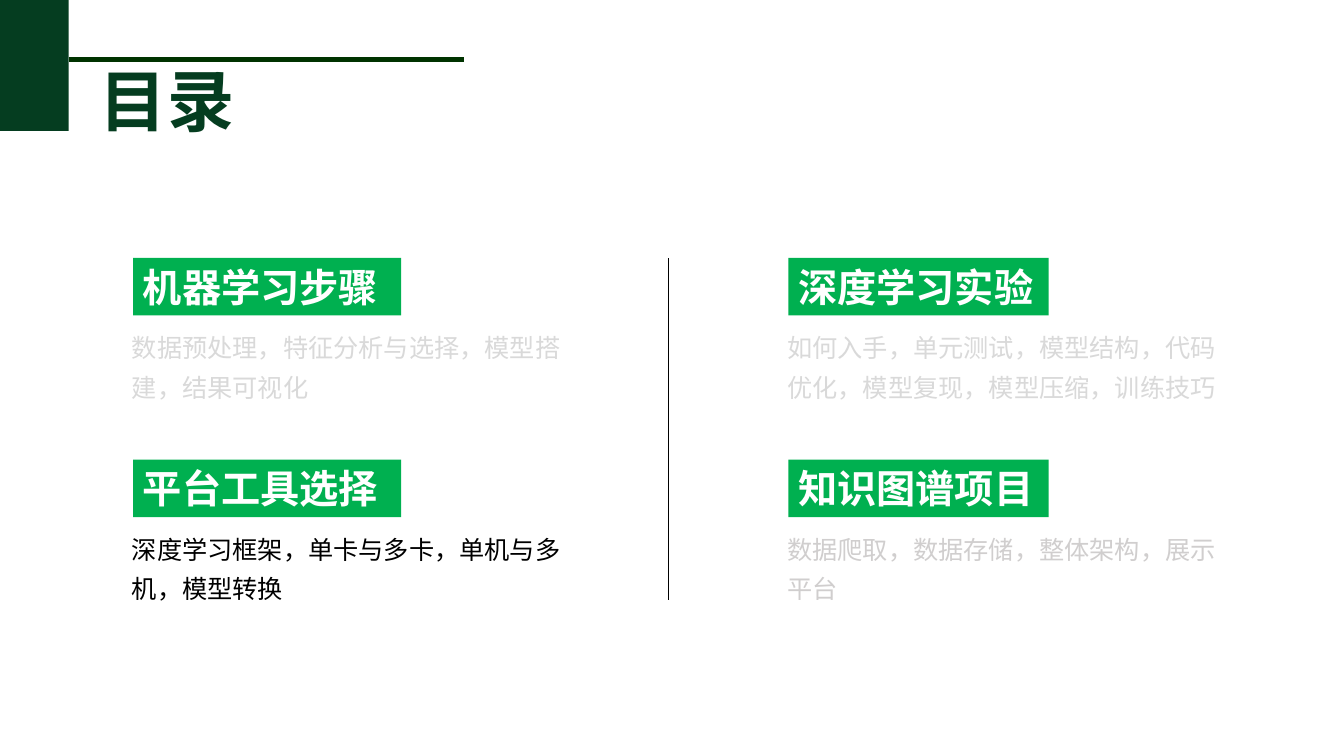
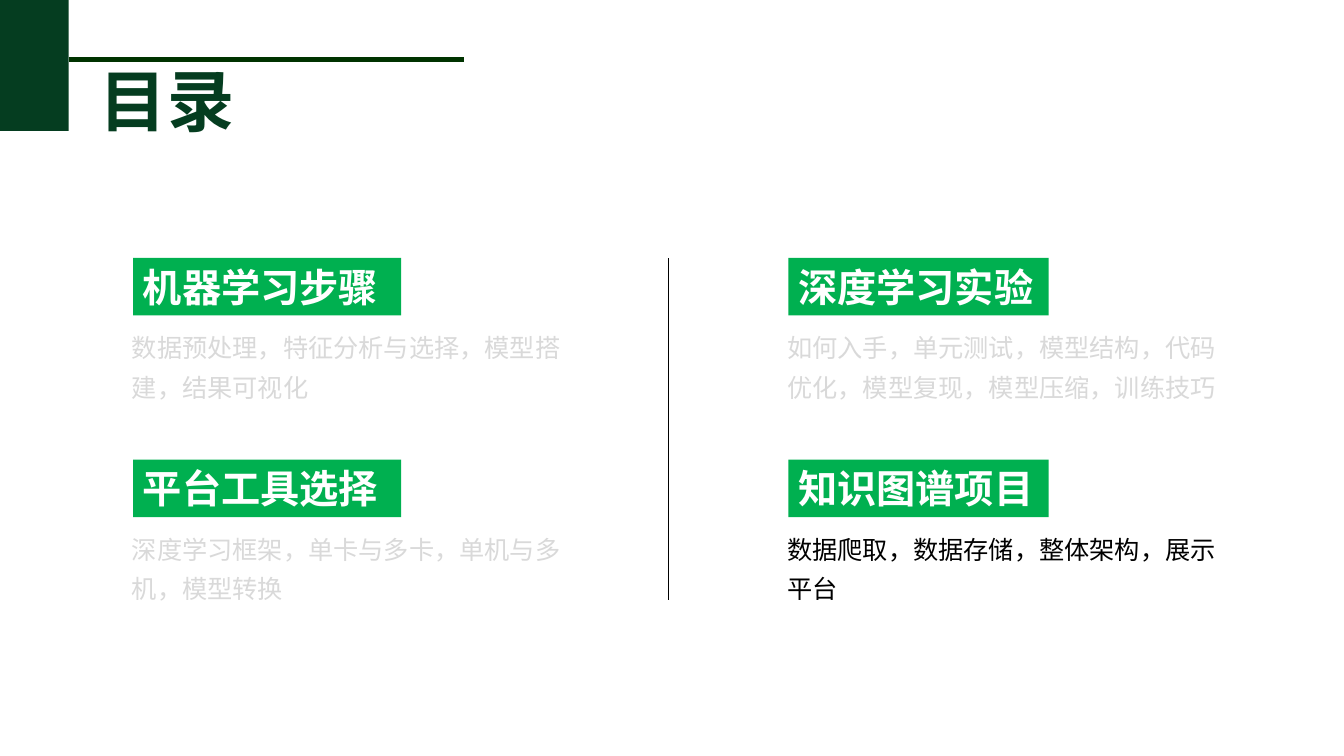
from lxml.etree import SubElement
from pptx import Presentation
from pptx.dml.color import RGBColor
from pptx.enum.lang import MSO_LANGUAGE_ID
from pptx.enum.shapes import MSO_CONNECTOR, MSO_SHAPE
from pptx.enum.text import MSO_ANCHOR, MSO_AUTO_SIZE, PP_ALIGN
from pptx.oxml.ns import qn
from pptx.util import Inches, Pt

DARK, RULE, GREEN = "053D20", "003300", "00B050"
WHITE, BLACK, PALE, GREY = "FFFFFF", "000000", "D9D9D9", "D0CECE"
HEAD, BODY = "Calibri", "Noto Sans CJK SC"
LEFT, STEP_X = 1.32, 6.5
TOP, STEP_Y = 2.56, 2
WIDTHS = (2.66, 2.58)
TOPICS = (
    ("机器学习步骤", "数据预处理，特征分析与选择，模型搭建，结果可视化"),
    ("平台工具选择", "深度学习框架，单卡与多卡，单机与多机，模型转换"),
    ("深度学习实验", "如何入手，单元测试，模型结构，代码优化，模型复现，模型压缩，训练技巧"),
    ("知识图谱项目", "数据爬取，数据存储，整体架构，展示平台"),
)
AGENDAS = (
    (PALE, BLACK, PALE, GREY),
    (PALE, PALE, PALE, BLACK),
)


def color(code):
    """Turn a hex string into a colour."""
    return RGBColor.from_string(code)


def write(shape, text, size, code, name=HEAD, bold=False, wrap=True):
    """Put one left-aligned paragraph into a shape and return it."""
    frame = shape.text_frame
    frame.text = text
    frame.word_wrap = wrap
    frame.auto_size = MSO_AUTO_SIZE.NONE
    frame.vertical_anchor = MSO_ANCHOR.TOP
    para = frame.paragraphs[0]
    para.alignment = PP_ALIGN.LEFT
    font = para.font
    font.name, font.size, font.bold = name, Pt(size), bold
    font.color.rgb = color(code)
    font.language_id = MSO_LANGUAGE_ID.SIMPLIFIED_CHINESE
    props = para._p.pPr.find(qn("a:defRPr"))
    SubElement(props, qn("a:ea")).set("typeface", HEAD)
    return para


def add_box(slide, x, y, w, h, fill):
    """Add a plain filled rectangle."""
    box = slide.shapes.add_shape(
        MSO_SHAPE.RECTANGLE, Inches(x), Inches(y), Inches(w), Inches(h))
    box.shadow.inherit = False
    box.fill.solid()
    box.fill.fore_color.rgb = color(fill)
    box.line.fill.background()
    return box


def add_line(slide, x1, y1, x2, y2, code, width):
    """Add a straight line without a shadow."""
    line = slide.shapes.add_connector(
        MSO_CONNECTOR.STRAIGHT, Inches(x1), Inches(y1), Inches(x2), Inches(y2))
    line.line.color.rgb = color(code)
    line.line.width = Pt(width)
    SubElement(line.element.spPr, qn("a:effectLst"))
    return line


def add_band(slide):
    """Draw the corner band and rule, then hand them to the layout."""
    band = add_box(slide, 0, 0, 0.68, 1.3, DARK)
    rule = add_line(slide, 0.68, 0.59, 4.6, 0.59, RULE, 3)
    for part in (band, rule):
        slide.slide_layout.shapes.element.append(part.element)


def add_title(slide, text):
    """Place and format the slide title."""
    title = slide.shapes.title
    title.left, title.top = Inches(0.89), Inches(0.54)
    title.width, title.height = Inches(1.55), Inches(0.91)
    write(title, text, 48, DARK, bold=True, wrap=False)


def add_topic(slide, index, code):
    """Add a topic heading with its details in the two-by-two grid."""
    col, row = divmod(index, 2)
    x, y = LEFT + col * STEP_X, TOP + row * STEP_Y
    head, text = TOPICS[index]
    label = add_box(slide, x, y, WIDTHS[col], 0.57, GREEN)
    write(label, head, 28, WHITE, bold=True)
    note = slide.shapes.add_textbox(
        Inches(x - 0.11), Inches(y + 0.6), Inches(4.54), Inches(0.89))
    write(note, text, 18, code, BODY).line_spacing = 1.3


def add_agenda(deck, layout, codes):
    """Add an agenda slide with one text colour per topic."""
    slide = deck.slides.add_slide(layout)
    add_title(slide, "目录")
    for index, code in enumerate(codes):
        add_topic(slide, index, code)
    add_line(slide, 6.63, TOP, 6.63, 5.95, BLACK, 1)
    return slide


def main():
    """Build and save the deck."""
    deck = Presentation()
    deck.slide_width, deck.slide_height = Inches(13.33), Inches(7.5)
    layout = deck.slide_layouts[5]
    slides = [add_agenda(deck, layout, codes) for codes in AGENDAS]
    add_band(slides[0])
    deck.save("out.pptx")


if __name__ == "__main__":
    main()
